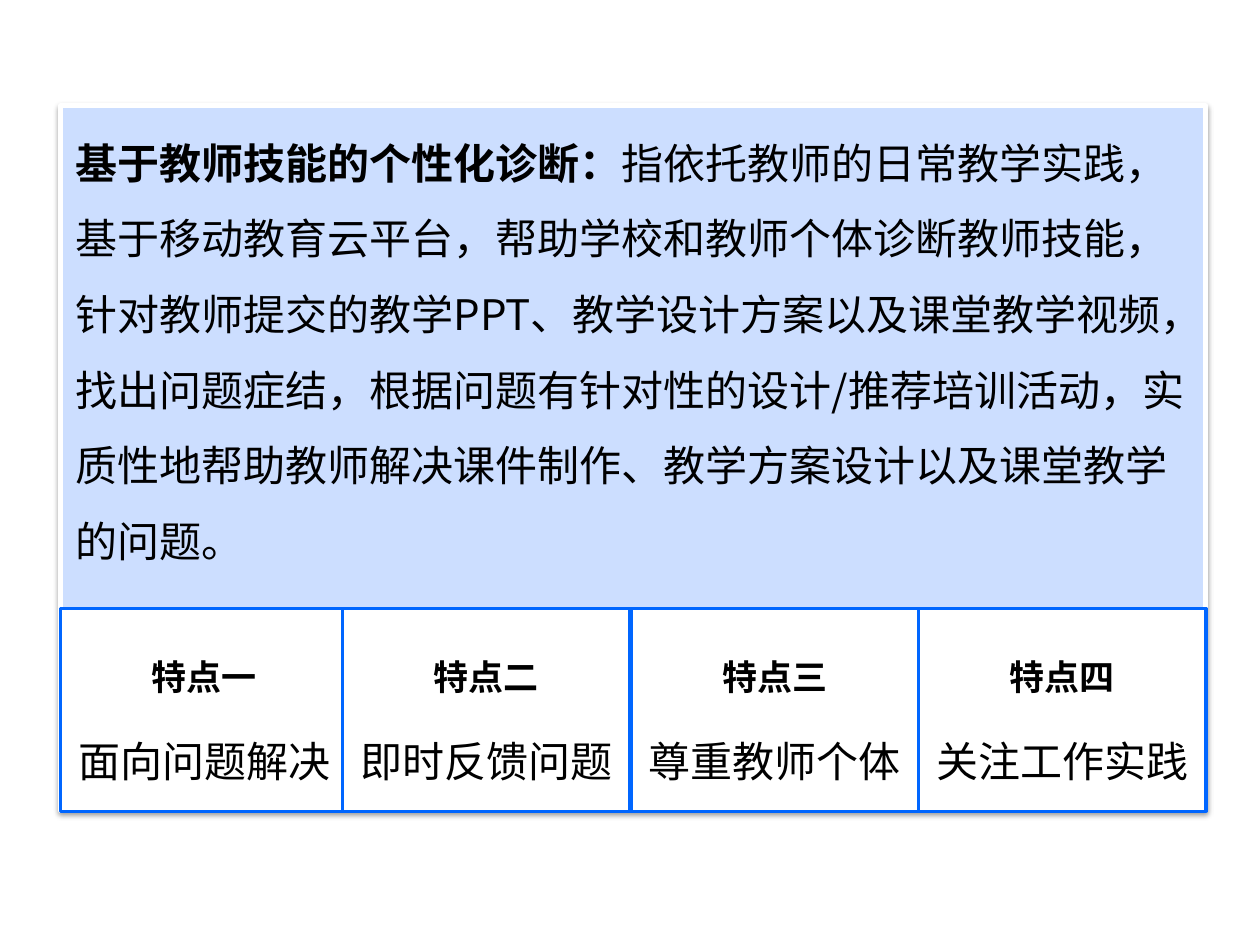
from lxml import etree
from pptx import Presentation, util as u
from pptx.dml.color import RGBColor
from pptx.enum import shapes, text
from pptx.oxml import ns

FONT = "Noto Sans CJK SC"
LEFT = 0.48
CARD_LEFTS = (LEFT, 2.72, 5.01, 7.29)
DEFINITION = (
    ("基于教师技能的个性化诊断：", 24, True),
    ("指依托教师的日常教学实践，基于移动教育云平台，帮助学校和教师个体诊断教师技能，"
     "针对教师提交的教学PPT、教学设计方案以及课堂教学视频，找出问题症结，"
     "根据问题有针对性的设计/推荐培训活动，实质性地帮助教师解决课件制作、"
     "教学方案设计以及课堂教学的问题。", 24, False),
)
FEATURES = (
    ("特点一", "面向问题解决"),
    ("特点二", "即时反馈问题"),
    ("特点三", "尊重教师个体"),
    ("特点四", "关注工作实践"),
)


def color(value):
    """Turn a hex string into a colour."""
    return RGBColor.from_string(value)


def apply_format(target, values):
    """Set each named attribute on the target."""
    for name, value in values.items():
        setattr(target, name, value)


def add_box(slide, bounds, fill, line, width, frame_format):
    """Add a filled, outlined rectangle with a formatted text frame."""
    shape = slide.shapes.add_shape(
        shapes.MSO_SHAPE.RECTANGLE, *(u.Inches(value) for value in bounds))
    shape.shadow.inherit = False
    shape.fill.solid()
    shape.fill.fore_color.rgb = color(fill)
    shape.line.color.rgb = color(line)
    shape.line.width = u.Pt(width)
    apply_format(shape.text_frame, {"word_wrap": True, **frame_format})
    return shape


def add_shadow(shape, blur, distance, opacity):
    """Give a shape a soft black shadow that falls downwards."""
    effects = shape._element.spPr.find(ns.qn("a:effectLst"))
    shadow = etree.SubElement(
        effects, ns.qn("a:outerShdw"), blurRad=str(u.Pt(blur)),
        dist=str(u.Pt(distance)), dir="5400000", rotWithShape="0")
    black = etree.SubElement(shadow, ns.qn("a:srgbClr"), val="000000")
    etree.SubElement(black, ns.qn("a:alpha"), val=str(opacity * 1000))


def write_paragraph(paragraph, runs, **values):
    """Fill a paragraph with runs given as wording, size and boldness."""
    apply_format(paragraph, {"line_spacing": 1.5, **values})
    for wording, size, bold in runs:
        run = paragraph.add_run()
        run.text = wording
        apply_format(run.font, {"name": FONT, "size": u.Pt(size), "bold": bold})
        run.font.color.rgb = color("000000")
        etree.SubElement(run.font._element, ns.qn("a:ea"), typeface=FONT)


def add_definition(slide):
    """Add the large panel that explains the diagnosis."""
    margins = {"margin_left": u.Inches(0.12), "margin_right": u.Inches(0.12),
               "margin_top": u.Inches(0.05),
               "vertical_anchor": text.MSO_ANCHOR.TOP}
    panel = add_box(slide, (LEFT, 0.84, 9.09, 5.59), "CCDEFF", "FFFFFF", 3, margins)
    add_shadow(panel, 3.1, 1.6, 38)
    write_paragraph(panel.text_frame.paragraphs[0], DEFINITION,
                    alignment=text.PP_ALIGN.LEFT)


def add_feature(slide, left, heading, detail):
    """Add one outlined card with a heading and a detail line."""
    sides = ("left", "right", "top", "bottom")
    frame_format = {f"margin_{side}": u.Inches(0.08) for side in sides}
    frame_format["vertical_anchor"] = text.MSO_ANCHOR.MIDDLE
    card = add_box(slide, (left, 4.83, 2.28, 1.61), "FFFFFF", "0066FF", 2, frame_format)
    frame = card.text_frame
    lines = ((frame.paragraphs[0], (heading, 20, True)),
             (frame.add_paragraph(), (detail, 24, False)))
    for paragraph, run in lines:
        write_paragraph(paragraph, [run], alignment=text.PP_ALIGN.CENTER,
                        space_after=u.Pt(7))


def main():
    """Build the slide and save it."""
    presentation = Presentation()
    presentation.slide_width = u.Inches(10)
    presentation.slide_height = u.Inches(7.5)
    slide = presentation.slides.add_slide(presentation.slide_layouts[6])
    add_definition(slide)
    for left, feature in zip(CARD_LEFTS, FEATURES):
        add_feature(slide, left, *feature)
    presentation.save("out.pptx")


if __name__ == "__main__":
    main()
